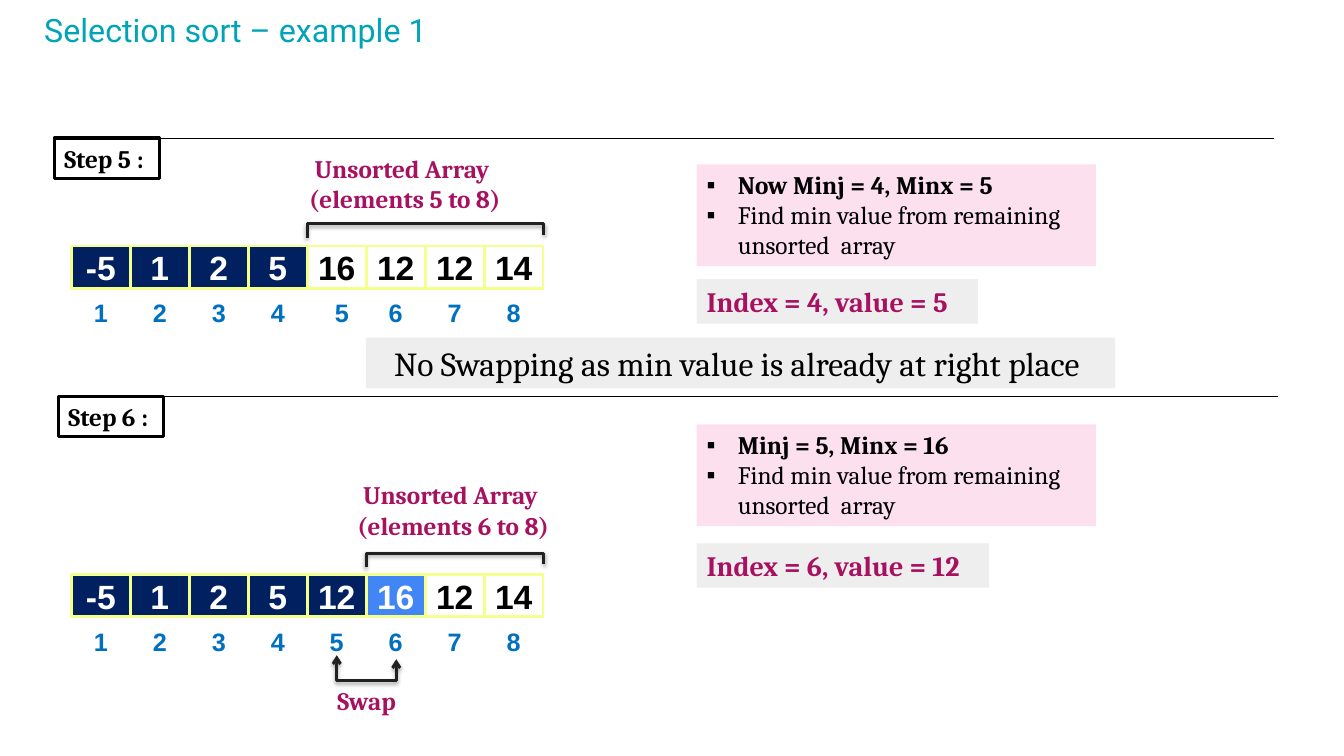
from dataclasses import dataclass
from typing import Optional

from lxml import etree
from pptx import Presentation
from pptx.dml.color import RGBColor
from pptx.enum.shapes import MSO_CONNECTOR, MSO_SHAPE
from pptx.enum.text import MSO_ANCHOR, MSO_AUTO_SIZE, PP_ALIGN
from pptx.oxml.ns import qn
from pptx.util import Inches, Pt

CELL_LEFT, PITCH, CELL_W, CELL_H = 0.71, 0.585, 0.58, 0.42
NAVY, BLUE, WHITE, BLACK = "002060", "4285F4", "FFFFFF", "000000"
YELLOW, INDEX_BLUE, MAGENTA = "F5FF8D", "0070C0", "A71160"
PINK, GREY, TEAL, CHARCOAL = "FCE0EE", "EEEEEE", "00A4B6", "212121"


@dataclass
class Format:
    size: float
    color: str = BLACK
    font: str = "Cambria"
    bold: bool = True
    align: PP_ALIGN = PP_ALIGN.LEFT
    anchor: MSO_ANCHOR = MSO_ANCHOR.TOP
    wrap: bool = True
    grow: bool = True
    inset_y: float = 0.05


@dataclass
class Step:
    name: str
    left: float
    top: float
    row_top: float
    values: list[int]
    fills: list[str]
    unsorted_from: int
    label_at: tuple[float, float]
    bracket_top: float
    note_top: float
    state: str
    result: str
    result_at: tuple[float, float]
    nudged_index: Optional[int] = None


STEPS = [
    Step("Step 5 :", 0.54, 1.37, 2.44, [-5, 1, 2, 5, 16, 12, 12, 14],
         [NAVY] * 4 + [WHITE] * 4, 5, (2.93, 1.47), 2.22, 1.63,
         "Now Minj = 4, Minx = 5", "Index = 4, value = 5", (2.77, 2.79), 5),
    Step("Step 6 :", 0.58, 3.93, 5.7, [-5, 1, 2, 5, 12, 16, 12, 14],
         [NAVY] * 5 + [BLUE] + [WHITE] * 2, 6, (3.41, 4.71), 5.49, 4.21,
         "Minj = 5, Minx = 16", "Index = 6, value = 12", (5.39, 2.9)),
]

STEP_NAME = Format(18, wrap=False)
CELL = dict(font="Arial", align=PP_ALIGN.CENTER, anchor=MSO_ANCHOR.MIDDLE, grow=False)
INDEX = Format(18, INDEX_BLUE, **CELL)
LABEL = Format(18, MAGENTA, align=PP_ALIGN.CENTER, wrap=False)
SWAP = Format(18, MAGENTA, align=PP_ALIGN.CENTER)
NOTE = Format(18)
RESULT = Format(20, MAGENTA)
NO_SWAP = Format(24, bold=False, align=PP_ALIGN.CENTER, wrap=False)
TITLE = Format(23, TEAL, "Roboto", bold=False, align=PP_ALIGN.JUSTIFY,
               grow=False, inset_y=0.1)


def rgb(value: str) -> RGBColor:
    return RGBColor.from_string(value)


def write(sp, lines: list[str], fmt: Format) -> None:
    tf = sp.text_frame
    frame = dict(
        word_wrap=fmt.wrap, vertical_anchor=fmt.anchor,
        auto_size=MSO_AUTO_SIZE.SHAPE_TO_FIT_TEXT if fmt.grow else MSO_AUTO_SIZE.NONE,
        margin_left=Inches(0.1), margin_right=Inches(0.1),
        margin_top=Inches(fmt.inset_y), margin_bottom=Inches(fmt.inset_y))
    for name, value in frame.items():
        setattr(tf, name, value)
    for i, line in enumerate(lines):
        p = tf.paragraphs[0] if i == 0 else tf.add_paragraph()
        p.alignment = fmt.align
        r = p.add_run()
        r.text = line
        for name, value in dict(name=fmt.font, size=Pt(fmt.size), bold=fmt.bold).items():
            setattr(r.font, name, value)
        r.font.color.rgb = rgb(fmt.color)


def add_text(slide, at: tuple, lines: list[str], fmt: Format):
    sp = slide.shapes.add_textbox(*map(Inches, at))
    write(sp, lines, fmt)
    return sp


def add_box(slide, at: tuple, lines: list[str], fmt: Format,
            fill: Optional[str] = None, line: Optional[str] = None, width: float = 2):
    sp = slide.shapes.add_shape(MSO_SHAPE.RECTANGLE, *map(Inches, at))
    sp.shadow.inherit = False
    if fill:
        sp.fill.solid()
        sp.fill.fore_color.rgb = rgb(fill)
    else:
        sp.fill.background()
    if line:
        sp.line.color.rgb = rgb(line)
        sp.line.width = Pt(width)
    else:
        sp.line.fill.background()
    write(sp, lines, fmt)
    return sp


def add_rule(slide, left: float, top: float) -> None:
    rule = slide.shapes.add_connector(
        MSO_CONNECTOR.STRAIGHT, *map(Inches, (left, top, left + 12.1, top)))
    rule.line.color.rgb = rgb(BLACK)
    rule.line.width = Pt(0.75)
    etree.SubElement(rule._element.spPr, qn("a:effectLst"))


def add_bracket(slide, points: list[tuple[float, float]], arrows: bool = False) -> None:
    """Draw an open outline with a soft shadow below it."""
    start, *rest = [(Inches(x), Inches(y)) for x, y in points]
    builder = slide.shapes.build_freeform(*start)
    builder.add_line_segments(rest, close=False)
    sp = builder.convert_to_shape()
    sp.fill.background()
    sp.line.color.rgb = rgb(CHARCOAL)
    sp.line.width = Pt(2)
    sp.shadow.inherit = False
    spPr = sp._element.spPr
    if arrows:
        for end in ("a:headEnd", "a:tailEnd"):
            etree.SubElement(spPr.find(qn("a:ln")), qn(end), type="arrow")
    shadow = etree.SubElement(
        spPr.find(qn("a:effectLst")), qn("a:outerShdw"), blurRad=str(Pt(3.1)),
        dist=str(Pt(1.6)), dir="5400000", rotWithShape="0")
    color = etree.SubElement(shadow, qn("a:srgbClr"), val=BLACK)
    etree.SubElement(color, qn("a:alpha"), val="38000")


def add_bullets(sp) -> None:
    for p in sp.text_frame.paragraphs:
        pPr = p._p.get_or_add_pPr()
        pPr.set("marL", str(Inches(0.31)))
        pPr.set("indent", str(-Inches(0.31)))
        etree.SubElement(pPr, qn("a:buFont"), typeface="Arial")
        etree.SubElement(pPr, qn("a:buChar"), char="▪")


def cell_left(number: int) -> float:
    return CELL_LEFT + (number - 1) * PITCH


def add_step(slide, step: Step) -> None:
    add_rule(slide, step.left, step.top)
    add_box(slide, (step.left, step.top, 1.04, 0.4), [step.name], STEP_NAME,
            line=BLACK, width=2.25)
    for number, (value, fill) in enumerate(zip(step.values, step.fills), 1):
        left = cell_left(number)
        cell = Format(24, BLACK if fill == WHITE else WHITE, **CELL)
        add_box(slide, (left, step.row_top, CELL_W, CELL_H), [str(value)], cell, fill, YELLOW)
        nudge = 0.05 if number == step.nudged_index else 0
        add_box(slide, (left + nudge, step.row_top + 0.45, CELL_W, CELL_H),
                [str(number)], INDEX, WHITE)
    left, right, top = cell_left(step.unsorted_from), cell_left(9), step.bracket_top
    add_bracket(slide, [(left, top + 0.14), (left, top), (right, top), (right, top + 0.11)])
    add_text(slide, (*step.label_at, 2.17, 0.71),
             ["Unsorted Array ", f"(elements {step.unsorted_from} to 8)"], LABEL)
    note = add_box(slide, (6.91, step.note_top, 3.96, 1.01),
                   [step.state, "Find min value from remaining unsorted  array"], NOTE, PINK)
    add_bullets(note)
    note.text_frame.paragraphs[1].runs[0].font.bold = False
    top, width = step.result_at
    add_box(slide, (6.91, top, width, 0.44), [step.result], RESULT, GREY)


def main() -> None:
    prs = Presentation()
    prs.slide_width, prs.slide_height = Inches(13.33), Inches(7.5)
    slide = prs.slides.add_slide(prs.slide_layouts[6])
    add_text(slide, (0.34, 0, 9.32, 0.63), ["Selection sort – example 1"], TITLE)
    for step in STEPS:
        add_step(slide, step)
    add_box(slide, (3.63, 3.35, 7.43, 0.5),
            ["No Swapping as min value is already at right place "], NO_SWAP, GREY)
    add_bracket(slide, [(3.34, 6.5), (3.34, 6.75), (3.93, 6.75), (3.93, 6.54)], arrows=True)
    add_text(slide, (3.14, 6.75, 0.99, 0.4), ["Swap"], SWAP)
    prs.save("out.pptx")


if __name__ == "__main__":
    main()
